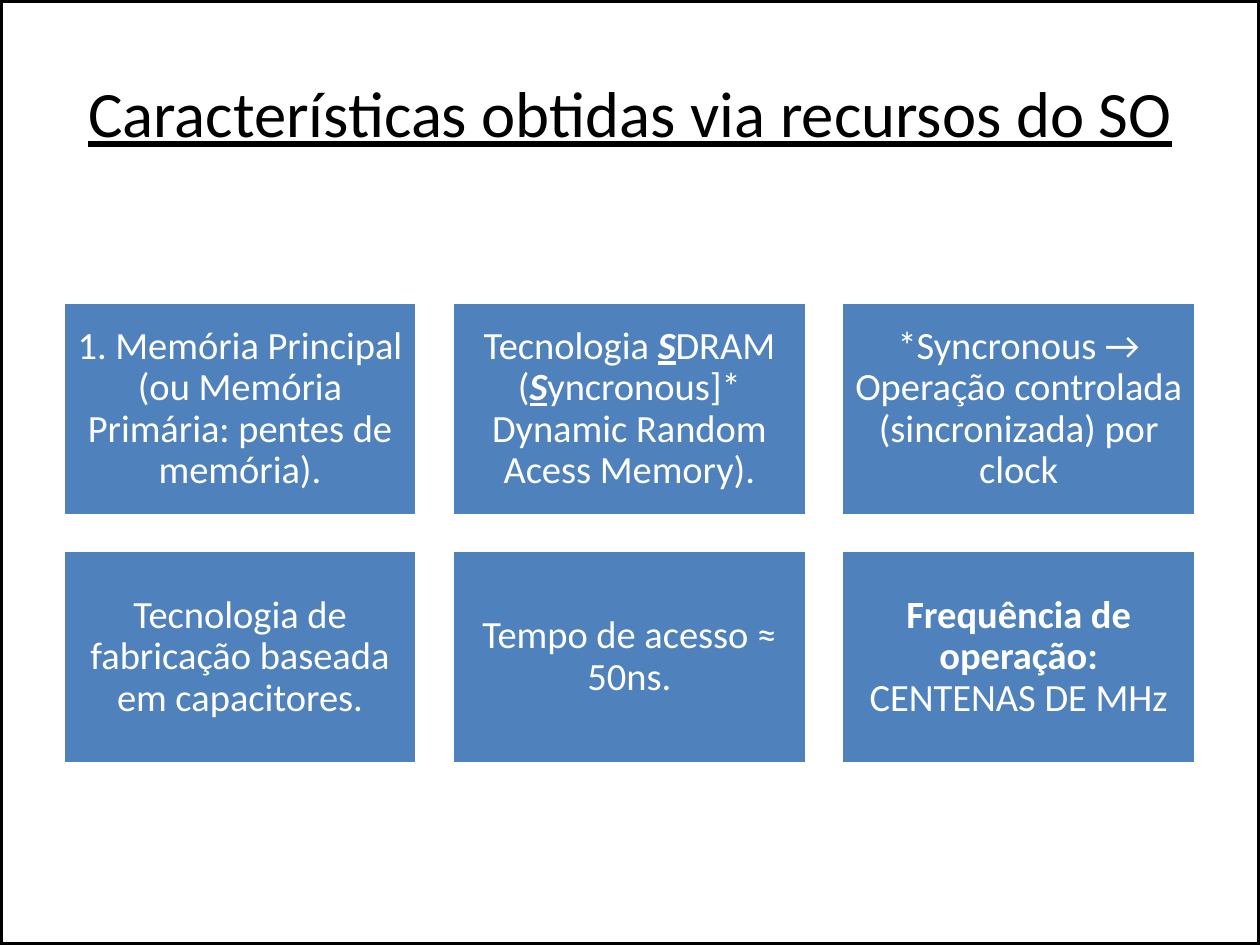
from pptx import Presentation
from pptx.dml.color import RGBColor
from pptx.enum.shapes import MSO_SHAPE as SHAPE
from pptx.enum.text import MSO_ANCHOR as ANCHOR, PP_ALIGN as ALIGN
from pptx.util import Inches, Pt


def rgb(value):
    return RGBColor.from_string(value)


def write(tf, runs, size, color):
    tf.word_wrap = True
    tf.vertical_anchor = ANCHOR.MIDDLE
    p = tf.paragraphs[0]
    p.alignment = ALIGN.CENTER
    p.line_spacing = 0.9
    for text, style in runs:
        r = p.add_run()
        r.text = text
        r.font.name = "Calibri"
        r.font.size = Pt(size)
        r.font.color.rgb = rgb(color)
        r.font.bold = "b" in style
        r.font.italic = "i" in style
        r.font.underline = "u" in style


prs = Presentation()
prs.slide_width = Inches(10)
prs.slide_height = Inches(7.5)
s = prs.slides.add_slide(prs.slide_layouts[6])

frame = s.shapes.add_shape(SHAPE.RECTANGLE, 0, 0, prs.slide_width, prs.slide_height)
frame.shadow.inherit = False
frame.fill.background()
frame.line.color.rgb = rgb("000000")
frame.line.width = Pt(3)

title = s.shapes.add_textbox(Inches(0.5), Inches(0.3), Inches(9), Inches(1.25))
write(title.text_frame, [("Características obtidas via recursos do SO", "u")], 37, "000000")

cards = [
    [("1. Memória Principal (ou Memória Primária: pentes de memória).", "")],
    [("Tecnologia ", ""), ("S", "biu"), ("DRAM (", ""), ("S", "biu"),
     ("yncronous]* Dynamic Random Acess Memory).", "")],
    [("*Syncronous → Operação controlada (sincronizada) por clock", "")],
    [("Tecnologia de fabricação baseada em capacitores.", "")],
    [("Tempo de acesso ≈ 50ns.", "")],
    [("Frequência de operação: ", "b"), ("CENTENAS DE MHz", "")],
]
width, height, gap = 2.81, 1.69, 0.28
for i, runs in enumerate(cards):
    row, col = divmod(i, 3)
    left = 0.5 + col * (width + gap)
    top = 2.4 + row * (height + gap)
    card = s.shapes.add_shape(SHAPE.RECTANGLE, Inches(left), Inches(top),
                              Inches(width), Inches(height))
    card.shadow.inherit = False
    card.fill.solid()
    card.fill.fore_color.rgb = rgb("4F81BD")
    card.line.color.rgb = rgb("FFFFFF")
    card.line.width = Pt(2)
    tf = card.text_frame
    tf.margin_left = tf.margin_right = tf.margin_top = tf.margin_bottom = Inches(0.09)
    write(tf, runs, 22, "FFFFFF")

prs.save("out.pptx")
